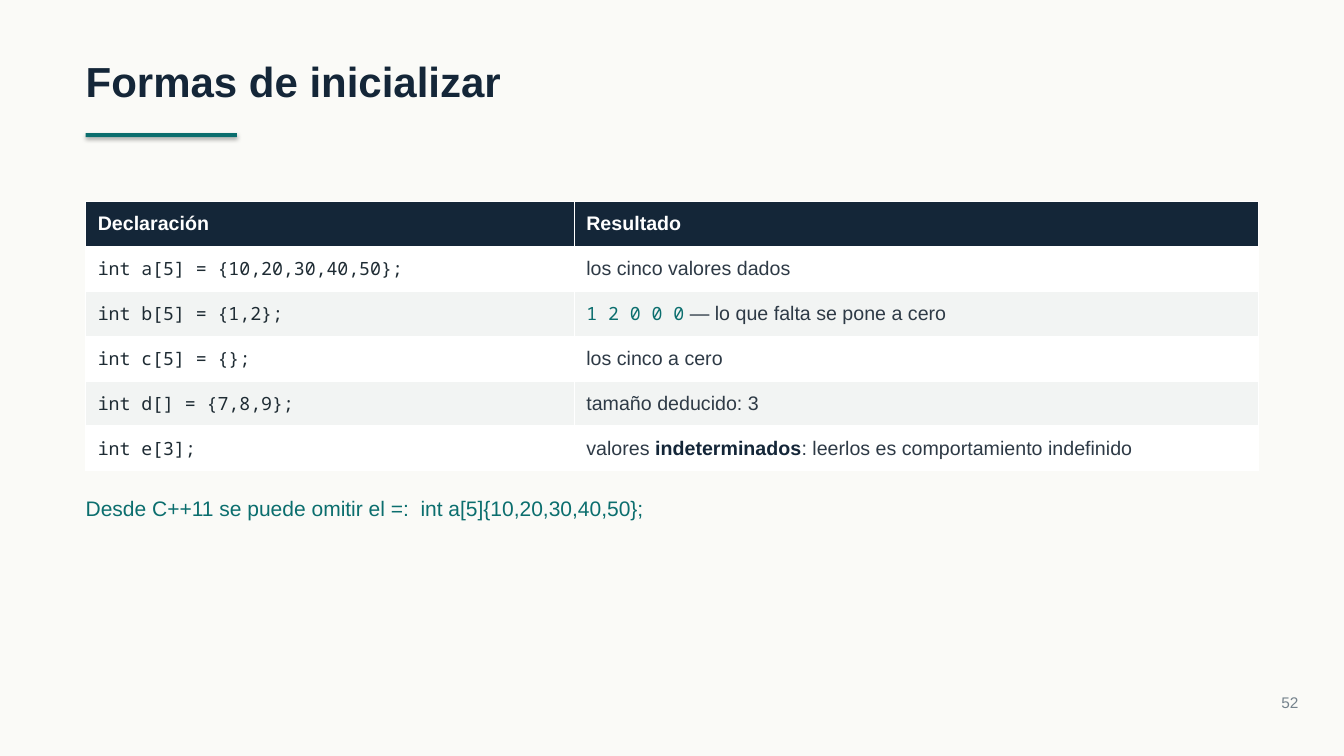
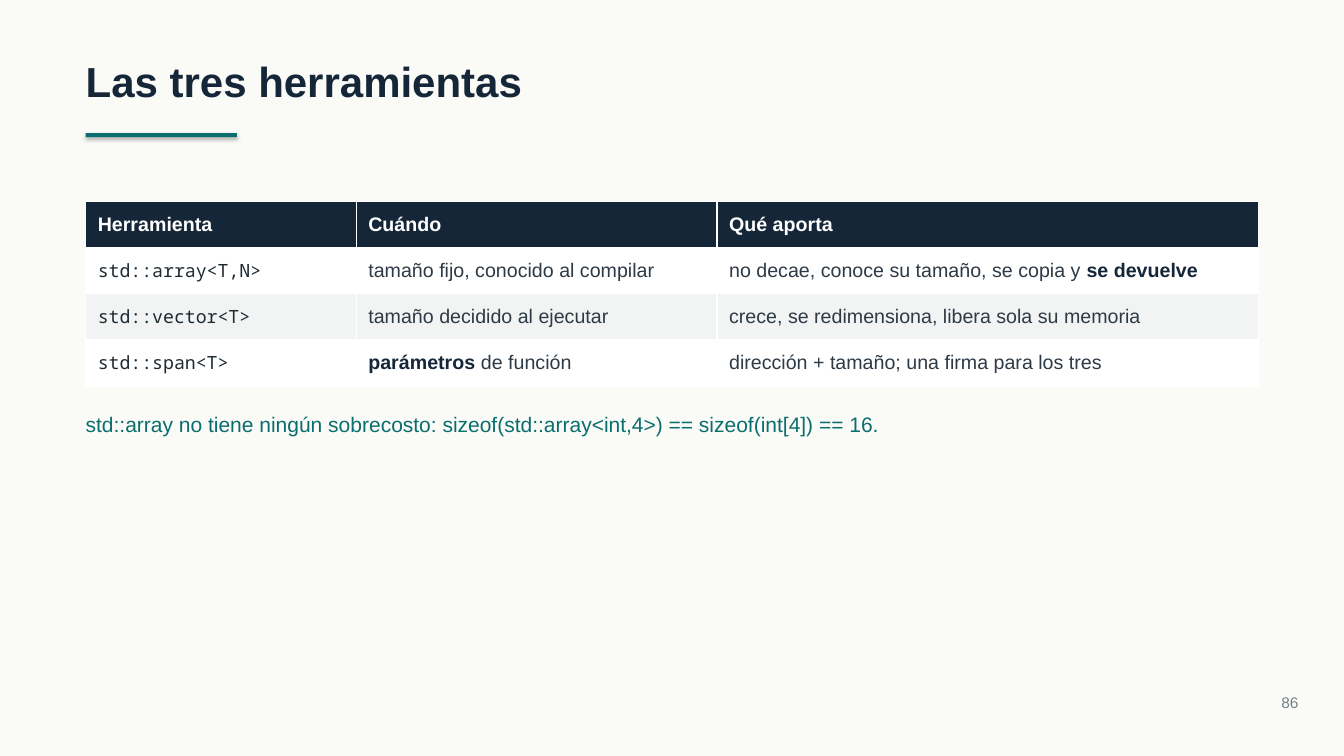
from pptx import Presentation
from pptx.dml.color import RGBColor
from pptx.enum.shapes import MSO_SHAPE
from pptx.enum.text import MSO_ANCHOR, MSO_AUTO_SIZE, PP_ALIGN
from pptx.util import Emu, Pt

SLIDE_W, SLIDE_H, MARGIN = 1333, 750, 85
CONTENT_W = SLIDE_W - 2 * MARGIN
TABLE_TOP, NOTE_GAP = 200, 25

NAVY, TEAL, PAPER, WHITE, BAND = "142638", "0B6E6E", "FAFAF7", "FFFFFF", "F2F4F3"
SANS, MONO = "Arial", "Noto Sans Mono"

STYLES = {
    "title": (30, SANS, NAVY, True),
    "head": (14, SANS, WHITE, True),
    "text": (14, SANS, "2E3A46", False),
    "strong": (14, SANS, NAVY, True),
    "code": (13, MONO, "1E2B33", False),
    "value": (13, MONO, TEAL, False),
    "note": (15, SANS, TEAL, False),
    "page": (11, SANS, "74828C", False),
}

SLIDES = [
    {
        "title": "Formas de inicializar",
        "ratios": (5, 7),
        "table_h": 267,
        "rows": [
            ("Declaración", "Resultado"),
            ("int a[5] = {10,20,30,40,50};", "los cinco valores dados"),
            ("int b[5] = {1,2};",
             [("1 2 0 0 0", "value"), (" — lo que falta se pone a cero", "text")]),
            ("int c[5] = {};", "los cinco a cero"),
            ("int d[] = {7,8,9};", "tamaño deducido: 3"),
            ("int e[3];",
             [("valores ", "text"), ("indeterminados", "strong"),
              (": leerlos es comportamiento indefinido", "text")]),
        ],
        "note": "Desde C++11 se puede omitir el =:  int a[5]{10,20,30,40,50};",
        "page": "52",
    },
    {
        "title": "Las tres herramientas",
        "ratios": (3, 4, 6),
        "table_h": 183,
        "rows": [
            ("Herramienta", "Cuándo", "Qué aporta"),
            ("std::array<T,N>", "tamaño fijo, conocido al compilar",
             [("no decae, conoce su tamaño, se copia y ", "text"),
              ("se devuelve", "strong")]),
            ("std::vector<T>", "tamaño decidido al ejecutar",
             "crece, se redimensiona, libera sola su memoria"),
            ("std::span<T>", [("parámetros", "strong"), (" de función", "text")],
             "dirección + tamaño; una firma para los tres"),
        ],
        "note": "std::array no tiene ningún sobrecosto: "
                "sizeof(std::array<int,4>) == sizeof(int[4]) == 16.",
        "page": "86",
    },
]


def px(n):
    return Emu(round(n * 9144))


def color(value):
    return RGBColor.from_string(value)


def set_font(font, style):
    size, font.name, rgb, font.bold = STYLES[style]
    font.size = Pt(size)
    font.color.rgb = color(rgb)


def fill(shape, value):
    shape.fill.solid()
    shape.fill.fore_color.rgb = color(value)


def write(p, content, style):
    if isinstance(content, str):
        p.text = content
        set_font(p.font, style)
        return
    for text, run_style in content:
        r = p.add_run()
        r.text = text
        set_font(r.font, run_style)


def set_text(sp, text, style, align=PP_ALIGN.LEFT):
    tf = sp.text_frame
    tf.margin_left = tf.margin_top = tf.margin_right = tf.margin_bottom = 0
    tf.word_wrap = True
    tf.auto_size = MSO_AUTO_SIZE.NONE
    tf.vertical_anchor = MSO_ANCHOR.TOP
    p = tf.paragraphs[0]
    p.alignment = align
    write(p, text, style)


def add_title(s, text):
    sp = s.shapes.title
    sp.left, sp.top, sp.width, sp.height = map(px, (MARGIN, 55, CONTENT_W, 50))
    set_text(sp, text, "title")
    rule = s.shapes.add_shape(MSO_SHAPE.RECTANGLE, *map(px, (MARGIN, 132, 150, 4)))
    fill(rule, TEAL)
    rule.line.fill.background()


def add_text(s, box, text, style, align=PP_ALIGN.LEFT):
    set_text(s.shapes.add_textbox(*map(px, box)), text, style, align)


def add_table(s, rows, ratios, height):
    box = (MARGIN, TABLE_TOP, CONTENT_W, height)
    table = s.shapes.add_table(len(rows), len(ratios), *map(px, box)).table
    for col, ratio in zip(table.columns, ratios):
        col.width = px(CONTENT_W * ratio / sum(ratios))
    for i, row in enumerate(rows):
        table.rows[i].height = px(height / len(rows))
        for j, content in enumerate(row):
            cell = table.cell(i, j)
            cell.margin_left = cell.margin_right = px(12)
            cell.margin_top = cell.margin_bottom = px(5)
            cell.vertical_anchor = MSO_ANCHOR.MIDDLE
            fill(cell, NAVY if i == 0 else WHITE if i % 2 else BAND)
            style = "head" if i == 0 else "code" if j == 0 else "text"
            write(cell.text_frame.paragraphs[0], content, style)


def main():
    prs = Presentation()
    prs.slide_width, prs.slide_height = px(SLIDE_W), px(SLIDE_H)
    fill(prs.slide_master.background, PAPER)
    for data in SLIDES:
        s = prs.slides.add_slide(prs.slide_layouts[5])
        add_title(s, data["title"])
        add_table(s, data["rows"], data["ratios"], data["table_h"])
        note_top = TABLE_TOP + data["table_h"] + NOTE_GAP
        add_text(s, (MARGIN, note_top, CONTENT_W, 25), data["note"], "note")
        add_text(s, (1198, 688, 90, 18), data["page"], "page", PP_ALIGN.RIGHT)
    prs.save("out.pptx")


if __name__ == "__main__":
    main()
